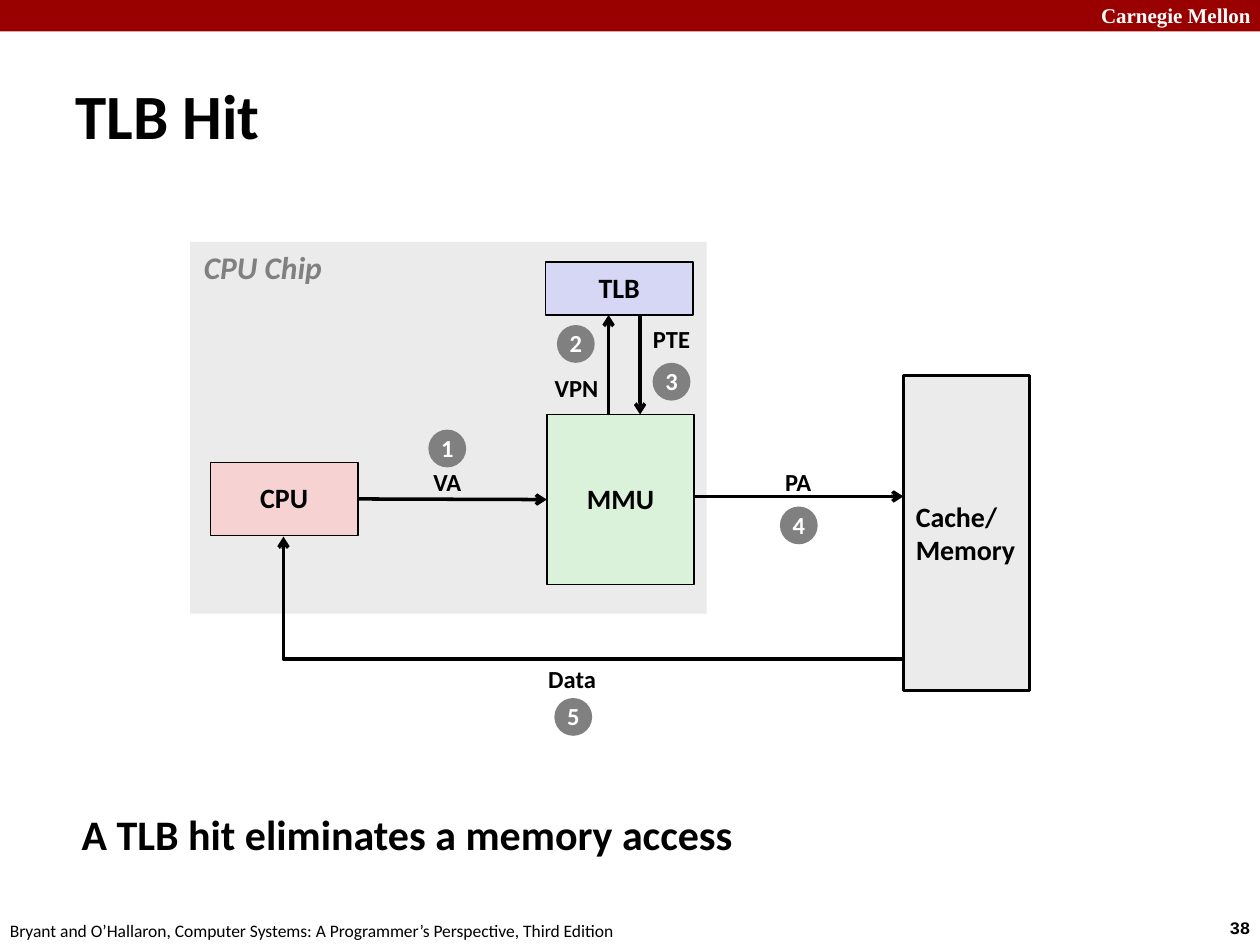
"""Build the TLB hit slide: a CPU chip diagram with numbered address translation steps."""
from typing import NamedTuple, Optional

from lxml import etree
from pptx import Presentation
from pptx import util as u
from pptx.dml import color as c
from pptx.enum import shapes as s
from pptx.enum import text as t
from pptx.oxml import ns

BLACK, WHITE, GRAY, PALE, RED = "000000", "FFFFFF", "808080", "EBEBEB", "990000"
LEFT, CENTER = t.PP_ALIGN.LEFT, t.PP_ALIGN.CENTER
TOP, MIDDLE = t.MSO_ANCHOR.TOP, t.MSO_ANCHOR.MIDDLE
BADGE_SIZE = 0.3


class Box(NamedTuple):
    left: float
    top: float
    width: float
    height: float


class Block(NamedTuple):
    name: str
    box: Box
    fill: str
    line_width: float = 1
    align: t.PP_ALIGN = CENTER


class Step(NamedTuple):
    number: int
    badge_left: float
    badge_top: float
    label: str
    label_box: Box


class Arrow(NamedTuple):
    start: tuple[float, float]
    end: tuple[float, float]
    source: Optional[str] = None
    target: Optional[str] = None
    bent: bool = False


BLOCKS = [
    Block("MMU", Box(4.34, 3.29, 1.17, 1.35), "DBF2DA"),
    Block("Cache/\nMemory", Box(7.17, 2.98, 1, 2.5), PALE, 1.5, LEFT),
    Block("CPU", Box(1.67, 3.67, 1.17, 0.58), "F6D2D2"),
    Block("TLB", Box(4.33, 2.08, 1.17, 0.42), "D6D6F5"),
]
STEPS = [
    Step(1, 3.4, 3.41, "VA", Box(3.34, 3.67, 0.42, 0.33)),
    Step(2, 4.42, 2.58, "VPN", Box(4.3, 2.92, 0.55, 0.33)),
    Step(3, 5.18, 2.88, "PTE", Box(5.08, 2.53, 0.5, 0.33)),
    Step(4, 6.19, 4.02, "PA", Box(6.13, 3.67, 0.41, 0.33)),
    Step(5, 4.4, 5.54, "Data", Box(4.25, 5.23, 0.58, 0.33)),
]
ARROWS = [
    Arrow((2.84, 3.96), (4.34, 3.96), "CPU", "MMU"),
    Arrow((4.83, 3.29), (4.83, 2.5)),
    Arrow((5.08, 2.5), (5.08, 3.29)),
    Arrow((5.5, 3.94), (7.17, 3.94)),
    Arrow((7.17, 5.23), (2.25, 4.26), bent=True),
]


def rgb(value: str) -> c.RGBColor:
    """Turn a hex string into a colour."""
    return c.RGBColor.from_string(value)


def inches(box: Box) -> list[u.Length]:
    """Turn the sides of a box into lengths."""
    return [u.Inches(side) for side in box]


def write(shape, text: str, *, size: float, color: str = BLACK, font: str = "Calibri",
          bold: bool = True, italic: bool = False, align: t.PP_ALIGN = LEFT,
          anchor: t.MSO_ANCHOR = TOP, wrap: bool = False) -> None:
    """Fill a shape with formatted text."""
    frame = shape.text_frame
    frame.text = text
    frame.word_wrap = wrap
    frame.auto_size = t.MSO_AUTO_SIZE.NONE
    frame.vertical_anchor = anchor
    for paragraph in frame.paragraphs:
        paragraph.alignment = align
        if align == CENTER:
            paragraph.line_spacing = 0.98
        paragraph.font.size = u.Pt(size)
        paragraph.font.name = font
        paragraph.font.bold = bold
        paragraph.font.italic = italic
        paragraph.font.color.rgb = rgb(color)


def add_label(slide, text: str, box: Box, **style) -> None:
    """Add a text box with formatted text."""
    write(slide.shapes.add_textbox(*inches(box)), text, **style)


def add_area(slide, kind: s.MSO_SHAPE, box: Box, fill: str, line_width: float = 0):
    """Add a filled shape, outlined in black when a line width is given."""
    shape = slide.shapes.add_shape(kind, *inches(box))
    shape.shadow.inherit = False
    shape.fill.solid()
    shape.fill.fore_color.rgb = rgb(fill)
    if line_width:
        shape.line.color.rgb = rgb(BLACK)
        shape.line.width = u.Pt(line_width)
    else:
        shape.line.fill.background()
    return shape


def add_block(slide, block: Block):
    """Add a named hardware block."""
    shape = add_area(slide, s.MSO_SHAPE.RECTANGLE, block.box, block.fill, block.line_width)
    write(shape, block.name, size=16, align=block.align, anchor=MIDDLE)
    return shape


def add_step(slide, step: Step) -> None:
    """Add a step label and its numbered badge."""
    add_label(slide, step.label, step.label_box, size=14, align=CENTER, anchor=MIDDLE)
    box = Box(step.badge_left, step.badge_top, BADGE_SIZE, BADGE_SIZE)
    badge = add_area(slide, s.MSO_SHAPE.OVAL, box, GRAY)
    write(badge, str(step.number), size=14, color=WHITE, align=CENTER, anchor=MIDDLE)


def add_arrow(slide, arrow: Arrow, blocks: dict) -> None:
    """Add an arrow, joined from right side to left side where blocks are named."""
    kind = s.MSO_CONNECTOR.ELBOW if arrow.bent else s.MSO_CONNECTOR.STRAIGHT
    ends = [u.Inches(value) for value in arrow.start + arrow.end]
    connector = slide.shapes.add_connector(kind, *ends)
    if arrow.source:
        connector.begin_connect(blocks[arrow.source], 3)
    if arrow.target:
        connector.end_connect(blocks[arrow.target], 1)
    connector.line.color.rgb = rgb(BLACK)
    connector.line.width = u.Pt(2)
    properties = connector.element.spPr
    if arrow.bent:
        properties.find(ns.qn("a:prstGeom")).set("prst", "bentConnector2")
    etree.SubElement(properties.find(ns.qn("a:ln")), ns.qn("a:tailEnd"), type="arrow")
    etree.SubElement(properties, ns.qn("a:effectLst"))


def add_frame(slide) -> None:
    """Add the top band, the footer and the page number."""
    add_area(slide, s.MSO_SHAPE.RECTANGLE, Box(0, 0, 10, 0.25), RED)
    add_label(slide, "Carnegie Mellon", Box(8.64, -0.03, 1.43, 0.3), size=12,
              color=WHITE, font="Times New Roman", wrap=True)
    add_label(slide, "38", Box(9.66, 7.23, 0.45, 0.27), size=10, font="Courier New")
    add_label(slide, "Bryant and O’Hallaron, Computer Systems: "
              "A Programmer’s Perspective, Third Edition",
              Box(-0.02, 7.25, 5.08, 0.27), size=10, bold=False)


def main() -> None:
    """Build and save the presentation."""
    presentation = Presentation()
    presentation.slide_width, presentation.slide_height = u.Inches(10), u.Inches(7.5)
    slide = presentation.slides.add_slide(presentation.slide_layouts[5])
    title = slide.shapes.title
    title.left, title.top, title.width, title.height = inches(Box(0.5, 0.48, 9.53, 0.86))
    write(title, "TLB Hit", size=36, anchor=MIDDLE, wrap=True)
    add_frame(slide)
    add_area(slide, s.MSO_SHAPE.RECTANGLE, Box(1.51, 1.92, 4.1, 2.95), PALE)
    add_label(slide, "CPU Chip", Box(1.52, 1.92, 1.16, 0.4), size=18, color=GRAY, italic=True)
    blocks = {block.name: add_block(slide, block) for block in BLOCKS}
    for arrow in ARROWS:
        add_arrow(slide, arrow, blocks)
    for step in STEPS:
        add_step(slide, step)
    add_label(slide, "A TLB hit eliminates a memory access",
              Box(0.55, 6.37, 7.86, 0.63), size=24, wrap=True)
    presentation.save("out.pptx")


if __name__ == "__main__":
    main()
